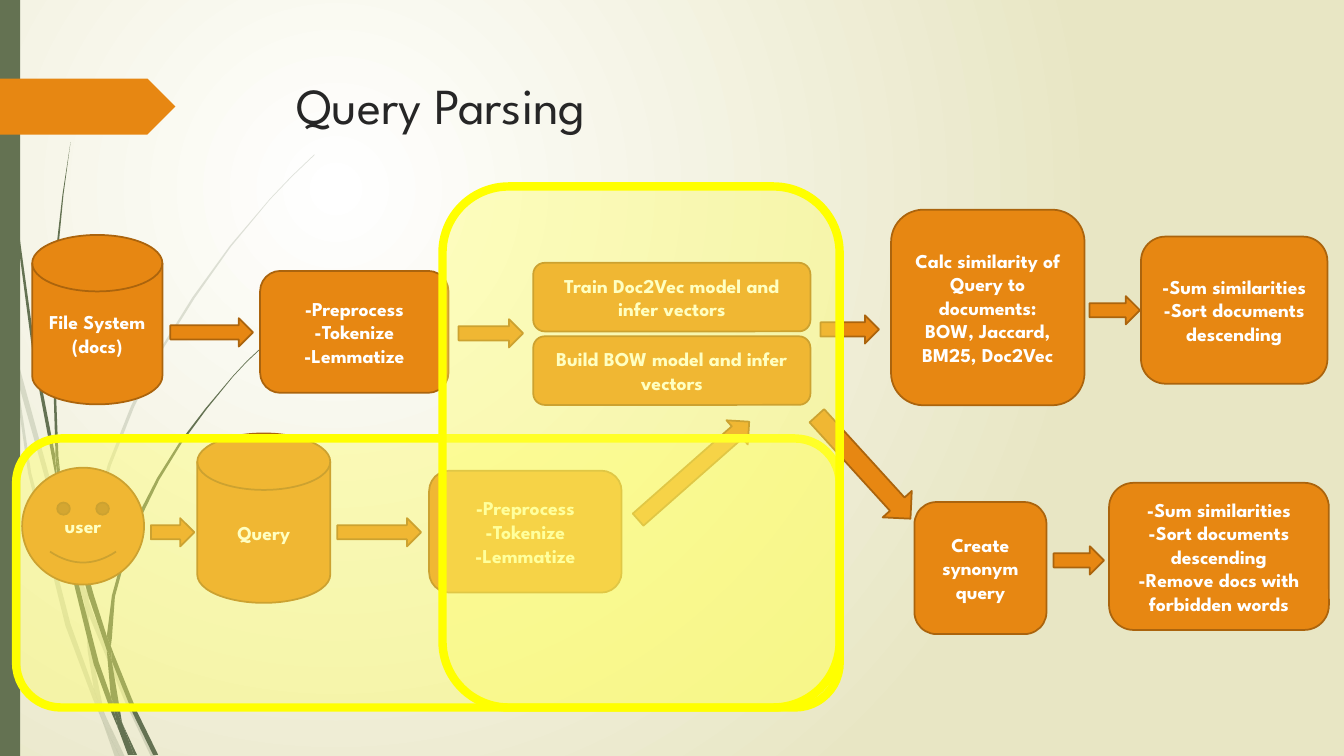
import pptx
import pptx.dml.color
import pptx.enum.shapes
import pptx.enum.text
import pptx.oxml
import pptx.oxml.ns
import pptx.util

Pt = pptx.util.Pt
RGBColor = pptx.dml.color.RGBColor
Kind = pptx.enum.shapes.MSO_SHAPE
Align = pptx.enum.text.PP_ALIGN
Anchor = pptx.enum.text.MSO_ANCHOR
qn = pptx.oxml.ns.qn

FONT = "League Spartan"
WHITE = RGBColor(0xFF, 0xFF, 0xFF)
CREAM = RGBColor(0xE8, 0xE6, 0xC4)
GREEN = RGBColor(0x64, 0x72, 0x52)
ORANGE = RGBColor(0xE7, 0x87, 0x12)
BROWN = RGBColor(0xAB, 0x64, 0x0D)
INK = RGBColor(0x26, 0x26, 0x26)
YELLOW = RGBColor(0xFF, 0xFF, 0x00)
PALE_YELLOW = RGBColor(0xFF, 0xFF, 0x66)

PREPROCESS_STEPS = ["-Preprocess", "-Tokenize", "-Lemmatize"]
RANKING_STEPS = ["-Sum similarities", "-Sort documents descending"]

# Grass outlines, on a grid of 0.72 pt
GRASS_UNIT = Pt(0.72)
PALE_GRASS = [
    [(11, 350), (9, 322), (0, 282), (0, 299), (10, 344)],
    [(58, 522), (84, 599), (85, 586), (62, 520), (14, 345), (17, 376)],
    [(92, 607), (88, 596), (88, 610), (123, 694), (150, 751), (155, 751), (127, 692)],
    [(119, 751), (124, 751), (105, 711)],
    [(93, 683), (70, 619), (31, 469), (17, 376), (11, 350), (28, 470), (65, 621),
     (92, 693), (101, 714), (99, 707)],
    [(84, 599), (87, 646), (93, 683), (96, 692), (105, 711), (103, 706), (91, 646),
     (88, 610), (88, 608)],
    [(88, 584), (94, 521), (110, 462), (133, 404), (160, 349), (193, 296), (229, 245),
     (268, 198), (290, 175), (312, 154), (312, 153), (289, 175), (268, 197), (228, 244),
     (191, 295), (158, 348), (130, 403), (107, 461), (91, 521), (85, 584), (85, 586),
     (88, 596)],
    [(101, 714), (114, 751), (119, 751)],
    [(88, 608), (88, 596), (85, 586), (84, 599)],
    [(96, 692), (93, 683), (99, 707), (101, 714), (119, 751), (105, 711)],
]
DARK_GRASS = [
    [(7, 110), (17, 233), (33, 355), (56, 477), (57, 481), (55, 457), (55, 453),
     (36, 355), (19, 232), (8, 109), (5, 48), (4, 0), (3, 0), (4, 48)],
    [(88, 592), (106, 645), (106, 631), (93, 590), (60, 472), (64, 505)],
    [(113, 649), (110, 641), (111, 656), (132, 708), (152, 749), (157, 749), (136, 706)],
    [(110, 691), (98, 657), (72, 556), (64, 505), (57, 477), (68, 557), (93, 659),
     (111, 708), (117, 722), (116, 717)],
    [(60, 472), (58, 453), (54, 349), (58, 245), (63, 193), (70, 141), (62, 193),
     (56, 245), (52, 349), (55, 449)],
    [(133, 749), (136, 749), (122, 719)],
    [(57, 477), (64, 505), (60, 472), (55, 449), (55, 453)],
    [(111, 633), (114, 592), (125, 552), (140, 513), (158, 476), (180, 440), (205, 406),
     (231, 374), (245, 359), (261, 344), (260, 344), (245, 358), (231, 373), (204, 405),
     (178, 439), (156, 474), (137, 511), (122, 551), (111, 591), (106, 631), (110, 641)],
    [(117, 722), (127, 749), (131, 749)],
    [(106, 645), (110, 691), (116, 706), (122, 719), (121, 716), (111, 656), (109, 651)],
    [(106, 645), (109, 651), (111, 656), (110, 641), (106, 631)],
    [(116, 706), (110, 691), (116, 717), (117, 722), (130, 749), (133, 749), (122, 719)],
]


def set_opacity(shape, percent):
    color = shape.element.spPr.find(qn("a:solidFill")).find(qn("a:srgbClr"))
    alpha = pptx.oxml.parse_xml(
        f'<a:alpha {pptx.oxml.ns.nsdecls("a")} val="{percent * 1000}"/>')
    color.append(alpha)


def add_plain_shape(slide, kind, box, fill, line=None, line_width=1.25):
    shape = slide.shapes.add_shape(kind, *(Pt(length) for length in box))
    shape.shadow.inherit = False
    shape.fill.solid()
    shape.fill.fore_color.rgb = fill
    if line is None:
        shape.line.fill.background()
    else:
        shape.line.color.rgb = line
        shape.line.width = Pt(line_width)
    return shape


def add_step(slide, origin, kind, left, top, width, height, lines):
    """Add one labelled step, placed relative to the origin of its row."""
    box = (origin[0] + left, origin[1] + top, width, height)
    shape = add_plain_shape(slide, kind, box, ORANGE, BROWN)
    frame = shape.text_frame
    frame.word_wrap = True
    frame.vertical_anchor = Anchor.MIDDLE
    frame.text = "\n".join(lines)
    for paragraph in frame.paragraphs:
        paragraph.alignment = Align.CENTER
        paragraph.font.name = FONT
        paragraph.font.size = Pt(14)
        paragraph.font.bold = True
        paragraph.font.color.rgb = WHITE


def add_arrow(slide, origin, left, top, width, height=20.2, rotation=0):
    box = (origin[0] + left, origin[1] + top, width, height)
    arrow = add_plain_shape(slide, Kind.RIGHT_ARROW, box, ORANGE, BROWN)
    arrow.rotation = rotation


def set_background(slide):
    fill = slide.background.fill
    fill.gradient()
    for stop, color, position in zip(fill.gradient_stops, (WHITE, CREAM), (0, 1)):
        stop.color.rgb = color
        stop.position = position
    gradient = slide.element.find(".//" + qn("a:gradFill"))
    gradient.replace(gradient.find(qn("a:lin")), pptx.oxml.parse_xml(
        f'<a:path {pptx.oxml.ns.nsdecls("a")} path="circle">'
        '<a:fillToRect l="50000" t="50000" r="100000" b="100000"/></a:path>'))


def add_grass(slide, outlines, opacity):
    group = slide.shapes.add_group_shape()
    for start, *others in outlines:
        builder = group.shapes.build_freeform(*start, scale=GRASS_UNIT)
        builder.add_line_segments(others, close=True)
        blade = builder.convert_to_shape()
        blade.shadow.inherit = False
        blade.fill.solid()
        blade.fill.fore_color.rgb = GREEN
        blade.line.fill.background()
        if opacity < 100:
            set_opacity(blade, opacity)


def add_side_decoration(slide, left, top, height):
    add_grass(slide, PALE_GRASS, 20)
    add_grass(slide, DARK_GRASS, 100)
    add_plain_shape(slide, Kind.RECTANGLE, (left, top, 14.4, height), GREEN)
    add_plain_shape(slide, Kind.PENTAGON, (left, top + 56.2, 125.3, 39.9), ORANGE)


def fill_title(slide, left, top, width, height):
    title = slide.shapes.title
    title.left, title.top, title.width, title.height = map(Pt, (left, top, width, height))
    frame = title.text_frame
    frame.text = "Query Parsing"
    frame.word_wrap = True
    frame.vertical_anchor = Anchor.TOP
    paragraph = frame.paragraphs[0]
    paragraph.alignment = Align.LEFT
    paragraph.font.name = FONT
    paragraph.font.size = Pt(36)
    paragraph.font.color.rgb = INK


def add_document_row(slide, origin):
    rounded = Kind.ROUNDED_RECTANGLE
    add_step(slide, origin, Kind.FLOWCHART_MAGNETIC_DISK, 0, 18, 93, 121,
             ["File System", "(docs)"])
    add_step(slide, origin, rounded, 162.8, 43.7, 134.6, 87.1, PREPROCESS_STEPS)
    models = ["Train Doc2Vec model and infer vectors", "Build BOW model and infer vectors"]
    for index, model in enumerate(models):
        add_step(slide, origin, rounded, 357.9, 37.9 + 52.5 * index, 198, 49, [model])
    add_step(slide, origin, rounded, 613.5, 0, 138.2, 139.7,
             ["Calc similarity of Query to documents:", "BOW, Jaccard, BM25, Doc2Vec"])
    add_step(slide, origin, rounded, 792, 19.2, 133.2, 105.1, RANKING_STEPS)
    for left, top, width in [(98.7, 77.5, 59), (304.6, 78.2, 46.1),
                             (563.1, 75.4, 41.8), (755.3, 61.7, 36)]:
        add_arrow(slide, origin, left, top, width)


def add_query_row(slide, origin):
    add_step(slide, origin, Kind.SMILEY_FACE, 0, 24.5, 87.1, 83.5, ["user"])
    add_arrow(slide, origin, 92, 60.5, 31)
    add_step(slide, origin, Kind.FLOWCHART_MAGNETIC_DISK, 125.1, 0, 95, 121, ["Query"])
    add_arrow(slide, origin, 225.2, 60.5, 59.8)
    add_step(slide, origin, Kind.ROUNDED_RECTANGLE, 290.7, 26.6, 137.5, 87.1,
             PREPROCESS_STEPS)
    add_arrow(slide, origin, 426.8, 15.1, 105.8, 23, rotation=318.6)


def add_synonym_row(slide, origin):
    add_arrow(slide, origin, 0, 0, 99.4, 28.1, rotation=47.7)
    add_step(slide, origin, Kind.ROUNDED_RECTANGLE, 86, 38.9, 94.3, 94.3,
             ["Create synonym query"])
    add_arrow(slide, origin, 185.4, 70.5, 36)
    add_step(slide, origin, Kind.ROUNDED_RECTANGLE, 225, 25.2, 157, 105.1,
             RANKING_STEPS + ["-Remove docs with forbidden words"])


def add_highlights(slide, left, top, width, height):
    """Mark the query row and the model column, which share the lower right corner."""
    for marked_width, marked_height in [(width, 192.2), (283.7, height)]:
        box = (left + width - marked_width, top + height - marked_height,
               marked_width, marked_height)
        highlight = add_plain_shape(slide, Kind.ROUNDED_RECTANGLE, box,
                                    PALE_YELLOW, YELLOW, 6)
        set_opacity(highlight, 40)


def main():
    presentation = pptx.Presentation()
    presentation.slide_width = Pt(960)
    presentation.slide_height = Pt(540)
    slide = presentation.slides.add_slide(presentation.slide_layouts[5])
    set_background(slide)
    add_side_decoration(slide, 0, 0, 540)
    fill_title(slide, 204.5, 49, 702, 100.8)
    add_synonym_row(slide, (567.2, 319.7))
    add_query_row(slide, (15.8, 309.6))
    add_document_row(slide, (23, 149.8))
    add_highlights(slide, 11.5, 133.2, 588.3, 372.2)
    presentation.save("out.pptx")


if __name__ == "__main__":
    main()
